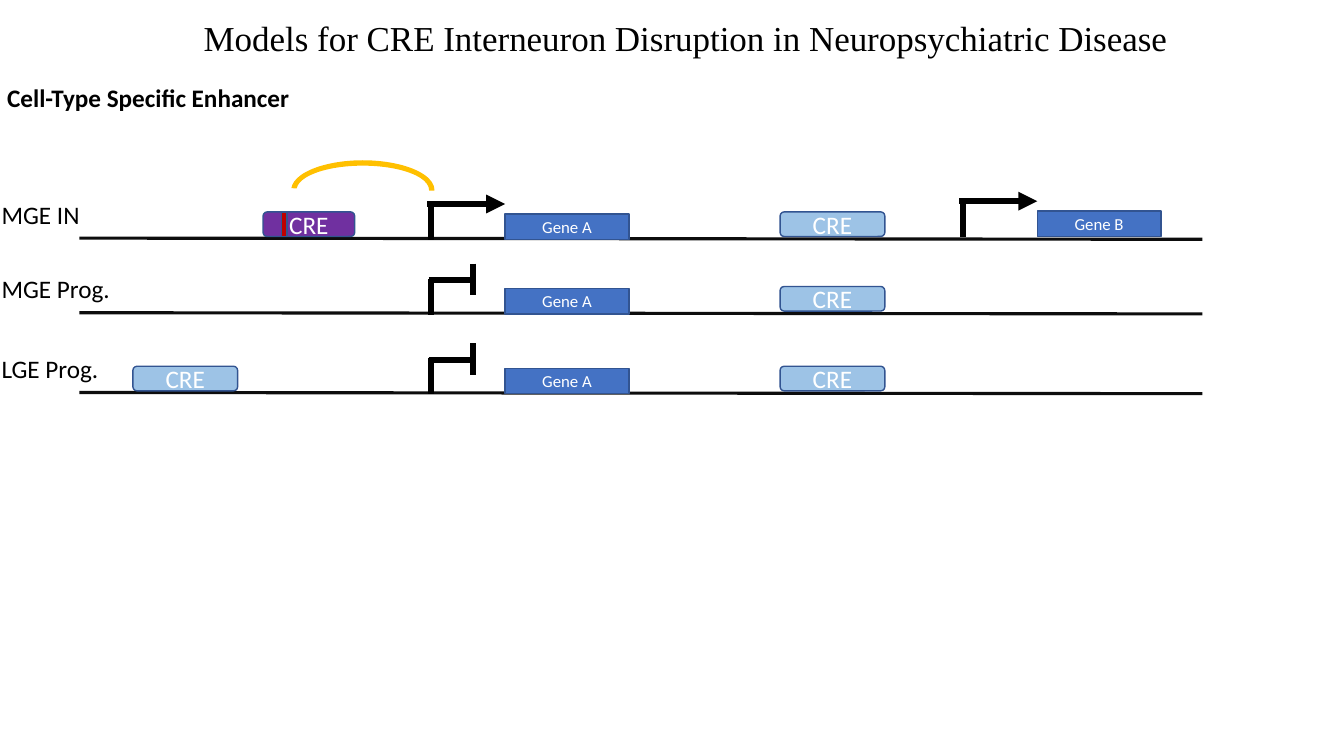
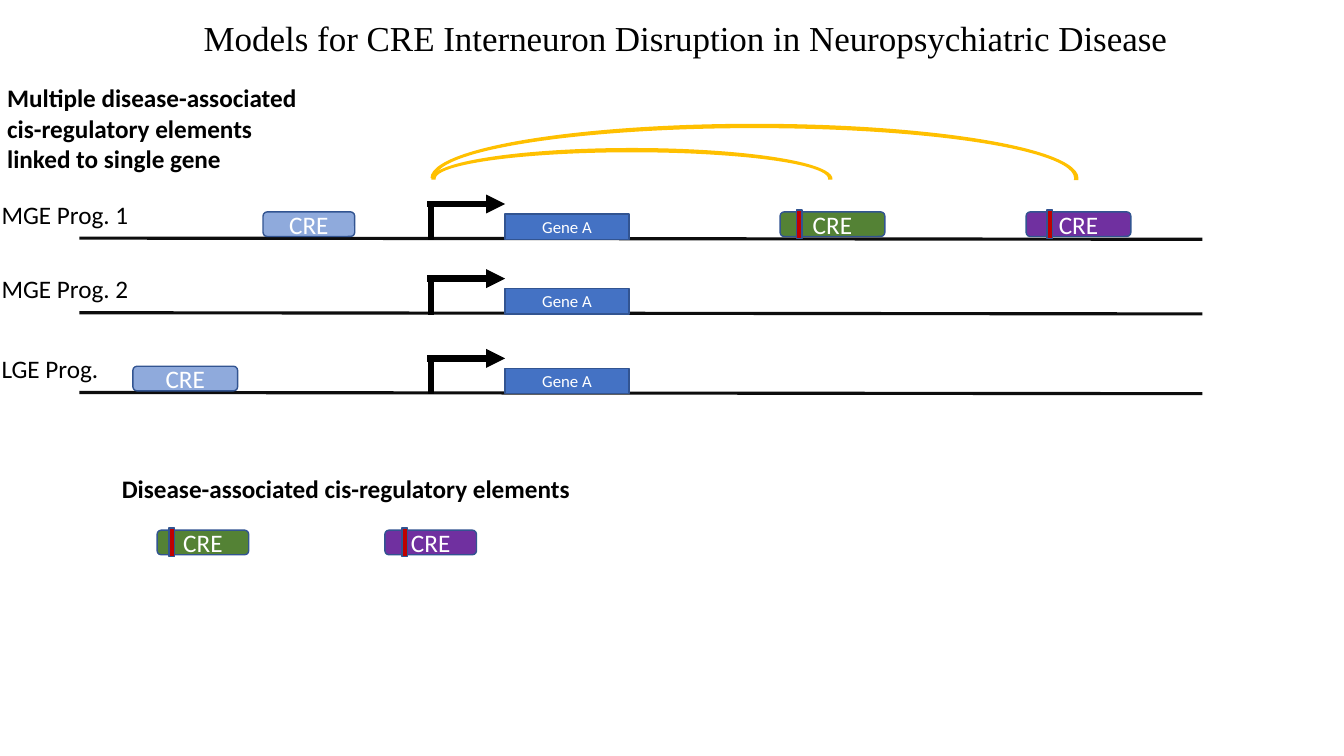
from pptx import Presentation
from pptx.dml.color import RGBColor
from pptx.enum.shapes import MSO_CONNECTOR, MSO_SHAPE
from pptx.enum.text import MSO_ANCHOR, PP_ALIGN
from pptx.oxml.ns import qn
from pptx.util import Cm, Pt
from lxml.etree import SubElement

BLACK = RGBColor(0x00, 0x00, 0x00)
WHITE = RGBColor(0xFF, 0xFF, 0xFF)
STRAND = RGBColor(0x0D, 0x0D, 0x0D)
OUTLINE = RGBColor(0x32, 0x54, 0x91)
GENE_BLUE = RGBColor(0x44, 0x72, 0xC4)
PALE_BLUE = RGBColor(0x9D, 0xC3, 0xE6)
SOFT_BLUE = RGBColor(0x8F, 0xAA, 0xDC)
PURPLE = RGBColor(0x70, 0x30, 0xA0)
GREEN = RGBColor(0x54, 0x82, 0x35)
VARIANT_RED = RGBColor(0xC0, 0x00, 0x00)
LOOP_GOLD = RGBColor(0xFF, 0xC0, 0x00)

TITLE = "Models for CRE Interneuron Disruption in Neuropsychiatric Disease"
TITLE_FONT, BODY_FONT = "Times New Roman", "Calibri"
TITLE_ONLY = 5

# Lengths are in centimetres.
ROWS = (6.0, 7.88, 9.89)
STRAND_LEFT, STRAND_RIGHT = 2.0, 30.3
GENE_A, GENE_B = 12.73, 26.14
GENE_WIDTH, GENE_HEIGHT = 3.12, 0.64
CRE_HEIGHT, CRE_RISE = 0.62, 0.66
NARROW, WIDE = 2.31, 2.64
CRE_FAR_LEFT, CRE_LEFT, CRE_RIGHT, CRE_FAR_RIGHT = 3.35, 6.63, 19.66, 25.86


def set_font(paragraph, size, color, name=BODY_FONT, bold=False):
    font = paragraph.font
    font.size, font.name, font.bold = Pt(size), name, bold
    font.color.rgb = color


def add_title(slide):
    title = slide.shapes.title
    title.left, title.top = Cm(1.55), Cm(0.28)
    title.width, title.height = Cm(31.45), Cm(1.32)
    title.text_frame.text = TITLE
    paragraph = title.text_frame.paragraphs[0]
    paragraph.alignment = PP_ALIGN.CENTER
    set_font(paragraph, 25, BLACK, TITLE_FONT)


def add_label(slide, text, left, top, width, bold=False):
    label = slide.shapes.add_textbox(Cm(left), Cm(top), Cm(width), Cm(1.02))
    frame = label.text_frame
    frame.word_wrap = True
    frame.margin_left = frame.margin_right = 0
    frame.text = text
    set_font(frame.paragraphs[0], 18, BLACK, bold=bold)


def add_line(slide, start, end, color=BLACK, width=4.25, arrow=False):
    line = slide.shapes.add_connector(
        MSO_CONNECTOR.STRAIGHT, *(Cm(value) for value in (*start, *end)))
    line.line.color.rgb = color
    line.line.width = Pt(width)
    if arrow:
        SubElement(line.line._get_or_add_ln(), qn("a:tailEnd"), type="triangle")
    SubElement(line._element.spPr, qn("a:effectLst"))


def add_block(slide, preset, left, top, width, height, fill, outlined=True):
    block = slide.shapes.add_shape(
        preset, Cm(left), Cm(top), Cm(width), Cm(height))
    block.shadow.inherit = False
    block.fill.solid()
    block.fill.fore_color.rgb = fill
    if outlined:
        block.line.color.rgb = OUTLINE
        block.line.width = Pt(1)
    else:
        block.line.fill.background()
    return block


def write_in(block, text, size):
    frame = block.text_frame
    frame.vertical_anchor = MSO_ANCHOR.MIDDLE
    frame.text = text
    frame.paragraphs[0].alignment = PP_ALIGN.CENTER
    set_font(frame.paragraphs[0], size, WHITE)


def add_cre(slide, left, top, width, fill, variant=None, overshoot=0.05):
    """Add a CRE, with a red variant mark at the given offset if there is one."""
    cre = add_block(slide, MSO_SHAPE.ROUNDED_RECTANGLE,
                    left, top, width, CRE_HEIGHT, fill)
    write_in(cre, "CRE", 18)
    if variant is not None:
        add_block(slide, MSO_SHAPE.RECTANGLE, left + variant, top - overshoot,
                  0.14, CRE_HEIGHT + 2 * overshoot, VARIANT_RED)


def add_gene(slide, name, left, strand, active=True):
    """Add a gene and its promoter: an arrow if active, else a blunt end."""
    gene = add_block(slide, MSO_SHAPE.RECTANGLE, left, strand - 0.61,
                     GENE_WIDTH, GENE_HEIGHT, GENE_BLUE)
    write_in(gene, name, 12)
    stem = left - 1.88
    add_line(slide, (stem, strand - 0.86), (stem, strand + 0.05))
    if active:
        add_line(slide, (stem - 0.08, strand - 0.86), (left, strand - 0.86),
                 width=4.5, arrow=True)
    else:
        arm, blunt_end = strand - 0.82, stem + 1.06
        add_line(slide, (stem - 0.05, arm), (blunt_end, arm))
        add_line(slide, (blunt_end, arm - 0.42), (blunt_end, arm + 0.38))


def add_loop(slide, left, top, width, height, adjustments):
    loop = add_block(slide, MSO_SHAPE.BLOCK_ARC, left, top, width, height,
                     LOOP_GOLD, outlined=False)
    for index, value in enumerate(adjustments):
        loop.adjustments[index] = value


def add_model(prs, heading, cell_types, active):
    """Add a slide with a strand and Gene A for every cell type."""
    slide = prs.slides.add_slide(prs.slide_layouts[TITLE_ONLY])
    add_title(slide)
    add_label(slide, heading, 0.18, 1.96, 7.67, bold=True)
    for strand, cell_type, is_active in zip(ROWS, cell_types, active):
        add_line(slide, (STRAND_LEFT, strand), (STRAND_RIGHT, strand + 0.03),
                 STRAND, 2.25)
        add_label(slide, cell_type, 0.04, strand - 1.11, 4)
        add_gene(slide, "Gene A", GENE_A, strand, is_active)
    return slide


def add_enhancer_model(prs):
    slide = add_model(prs, "Cell-Type Specific Enhancer",
                      ("MGE IN", "MGE Prog.", "LGE Prog."),
                      (True, False, False))
    add_gene(slide, "Gene B", GENE_B, ROWS[0] - 0.07)
    for strand in ROWS:
        add_cre(slide, CRE_RIGHT, strand - CRE_RISE, WIDE, PALE_BLUE)
    add_cre(slide, CRE_FAR_LEFT, ROWS[2] - CRE_RISE, WIDE, PALE_BLUE)
    add_cre(slide, CRE_LEFT, ROWS[0] - CRE_RISE, NARROW, PURPLE,
            variant=0.46, overshoot=0)
    add_loop(slide, 7.34, 4.04, 3.61, 1.5, (108.88, 0.25, 0.09))


def add_multiple_element_model(prs):
    slide = add_model(
        prs,
        "Multiple disease-associated cis-regulatory elements linked to single gene",
        ("MGE Prog. 1", "MGE Prog. 2", "LGE Prog."), (True, True, True))
    top = ROWS[0] - CRE_RISE
    add_cre(slide, CRE_LEFT, top, NARROW, SOFT_BLUE)
    add_cre(slide, CRE_RIGHT, top, WIDE, GREEN, variant=0.41)
    add_cre(slide, CRE_FAR_RIGHT, top, WIDE, PURPLE, variant=0.53)
    add_cre(slide, CRE_FAR_LEFT, ROWS[2] - CRE_RISE, WIDE, SOFT_BLUE)
    add_loop(slide, 10.87, 3.73, 10.11, 1.55, (107.85, 0.16, 0.07))
    add_loop(slide, 10.85, 3.12, 16.33, 2.74, (108, 0.22, 0.04))

    add_label(slide, "Disease-associated cis-regulatory elements",
              3.07, 11.81, 12.6, bold=True)
    add_cre(slide, 3.96, 13.36, NARROW, GREEN, variant=0.3)
    add_cre(slide, 9.7, 13.36, NARROW, PURPLE, variant=0.43)


def main():
    prs = Presentation()
    prs.slide_width, prs.slide_height = Cm(33.87), Cm(19.05)
    add_enhancer_model(prs)
    add_multiple_element_model(prs)
    prs.save("out.pptx")


if __name__ == "__main__":
    main()
